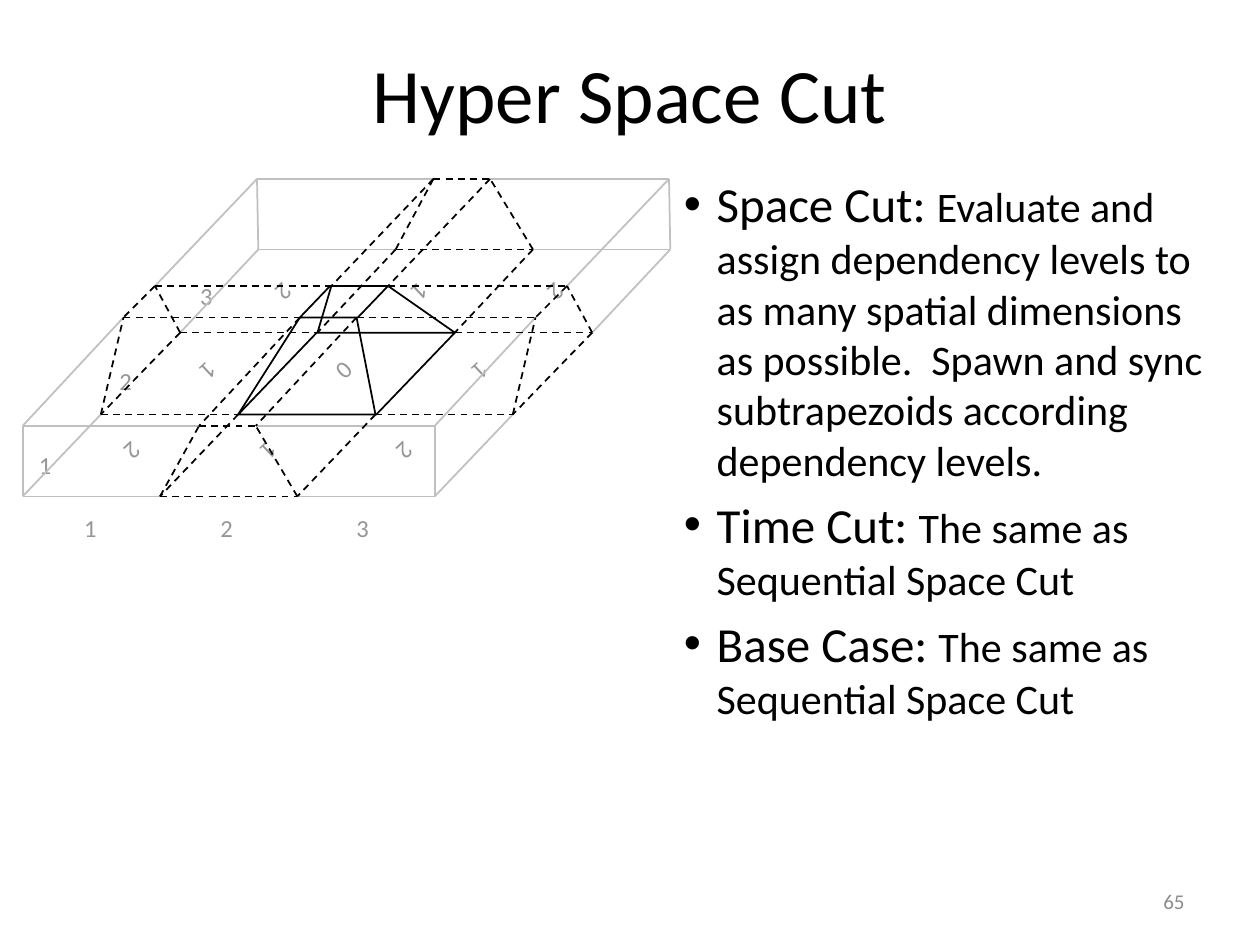
from itertools import product

from lxml.etree import SubElement
from pptx import Presentation
from pptx.dml.color import RGBColor
from pptx.enum.dml import MSO_LINE
from pptx.enum.shapes import MSO_CONNECTOR, MSO_SHAPE
from pptx.enum.text import MSO_ANCHOR as Anchor, PP_ALIGN as Align
from pptx.oxml.ns import qn
from pptx.util import Inches, Pt

COLORS = {"text": "000000", "number": "8C8C8C", "label": "969696",
          "outer": "C0C0C0", "edge": "000000"}
FONT = "Calibri"
STYLES = [("outer", None), ("edge", MSO_LINE.DASH), ("edge", None)]
GRAY, DASHED, SOLID = range(3)
BOTTOM = {"rows": [(1.87, 0.56), (1.25, 1.22), (0.62, 1.87), (0, 2.52)],
          "columns": [0, 1.09, 2.18, 3.27]}
TOP = {"rows": [(1.86, 0), (1.05, 0.85), (0.8, 1.1), (0, 1.96)],
       "columns": [0, 1.4, 1.85, 3.27]}
BULLETS = [
    ("Space Cut: ", "Evaluate and assign dependency levels to as many spatial "
     "dimensions as possible.  Spawn and sync subtrapezoids according "
     "dependency levels."),
    ("Time Cut: ", "The same as Sequential Space Cut"),
    ("Base Case: ", "The same as Sequential Space Cut"),
]


def style_font(font, size, color):
    """Set the typeface, point size and named colour."""
    font.name = FONT
    font.size = Pt(size)
    font.color.rgb = RGBColor.from_string(COLORS[color])


def add_text(shapes, box, text, size, color, align, anchor=Anchor.TOP, wrap=True):
    """Add a one-paragraph text box and return it."""
    shape = shapes.add_textbox(*map(Inches, box))
    frame = shape.text_frame
    frame.word_wrap = wrap
    frame.vertical_anchor = anchor
    para = frame.paragraphs[0]
    para.text = text
    para.alignment = align
    style_font(para.runs[0].font, size, color)
    return shape


def add_bullets(page, box):
    """Add the list of cuts, each with a larger lead-in."""
    frame = page.shapes.add_textbox(*map(Inches, box)).text_frame
    frame.word_wrap = True
    for index, parts in enumerate(BULLETS):
        para = frame.paragraphs[0] if index == 0 else frame.add_paragraph()
        para.space_before = Pt(5.6 if index else 0)
        props = para._p.get_or_add_pPr()
        props.set("marL", str(Inches(0.26)))
        props.set("indent", str(-Inches(0.26)))
        SubElement(props, qn("a:buFont")).set("typeface", "Arial")
        SubElement(props, qn("a:buChar")).set("char", "•")
        for text, size in zip(parts, (28, 24)):
            span = para.add_run()
            span.text = text
            style_font(span.font, size, "text")


def style_line(line, style):
    """Give a line one of the three edge styles."""
    color, dash = STYLES[style]
    line.color.rgb = RGBColor.from_string(COLORS[color])
    line.width = Pt(1)
    if dash:
        line.dash_style = dash


def add_edge(shapes, start, end, style):
    """Draw one straight edge."""
    edge = shapes.add_connector(MSO_CONNECTOR.STRAIGHT, *map(Inches, start + end))
    SubElement(edge._element.spPr, qn("a:effectLst"))
    style_line(edge.line, style)


def add_face(shapes, corners):
    """Draw the central cell of a layer as an unfilled parallelogram."""
    left, top = corners[2, 1][0], corners[1, 1][1]
    right, bottom = corners[1, 2][0], corners[2, 1][1]
    face = shapes.add_shape(MSO_SHAPE.PARALLELOGRAM, Inches(left), Inches(top),
                            Inches(right - left), Inches(bottom - top))
    face.adjustments[0] = 0.96
    face.shadow.inherit = False
    face.fill.background()
    style_line(face.line, SOLID)


def layer_corners(layer, left, top):
    """Map each row and column to its point in a slanted layer."""
    return {(row, col): (left + layer["rows"][row][0] + layer["columns"][col],
                         top + layer["rows"][row][1])
            for row, col in product(range(4), repeat=2)}


def layer_edges(corners):
    """List the edges of a layer, apart from its central cell."""
    edges = []
    for line, step in product(range(4), range(3)):
        inner, middle = line in (1, 2), step == 1
        if inner and middle:
            continue
        style = DASHED if inner or middle else GRAY
        edges.append((style, corners[line, step], corners[line, step + 1]))
        edges.append((style, corners[step, line], corners[step + 1, line]))
    return edges


def add_lattice(shapes, left, top):
    """Draw both layers and the edges that join them."""
    bottom, upper = (layer_corners(layer, left, top) for layer in (BOTTOM, TOP))
    edges = layer_edges(bottom) + layer_edges(upper)
    for row, col in bottom:
        style = (row in (1, 2)) + (col in (1, 2))
        edges.append((style, bottom[row, col], upper[row, col]))
    for style, start, end in sorted(edges):
        add_edge(shapes, start, end, style)
    for corners in (bottom, upper):
        add_face(shapes, corners)


def add_labels(shapes, left, top):
    """Number the axes and mark each cell with its dependency level."""
    for index in range(3):
        for x, y in ((0.03 + 0.64 * index, 2.11 - 0.67 * index),
                     (0.39 + 1.08 * index, 2.61)):
            add_text(shapes, (left + x, top + y, 0.23, 0.09), str(index + 1),
                     14, "label", Align.CENTER, wrap=False)
    for row, col in product(range(3), repeat=2):
        box = (left + 1.84 - 0.6 * row + 1.08 * col, top + 0.82 + 0.63 * row,
               0.48, 0.17)
        level = abs(row - 1) + abs(col - 1)
        label = add_text(shapes, box, str(level), 14, "label", Align.CENTER,
                         wrap=False)
        label.rotation = 136.8
        label.text_frame._txBody.bodyPr.set("vert", "wordArtVert")


def add_diagram(page, left, top):
    """Group the labels and the lattice."""
    shapes = page.shapes.add_group_shape().shapes
    add_labels(shapes, left, top)
    add_lattice(shapes, left, top)


def main():
    """Build and save the slide."""
    deck = Presentation()
    deck.slide_width, deck.slide_height = Inches(10), Inches(7.5)
    page = deck.slides.add_slide(deck.slide_layouts[6])
    add_text(page.shapes, (0.5, 0.3, 9, 0.87), "Hyper Space Cut", 44, "text",
             Align.CENTER, Anchor.MIDDLE)
    add_bullets(page, (5.33, 1.33, 4.42, 4.95))
    add_text(page.shapes, (7.17, 6.95, 2.33, 0.4), "65", 12, "number",
             Align.RIGHT, Anchor.MIDDLE)
    add_diagram(page, 0.18, 1.42)
    deck.save("out.pptx")


if __name__ == "__main__":
    main()
